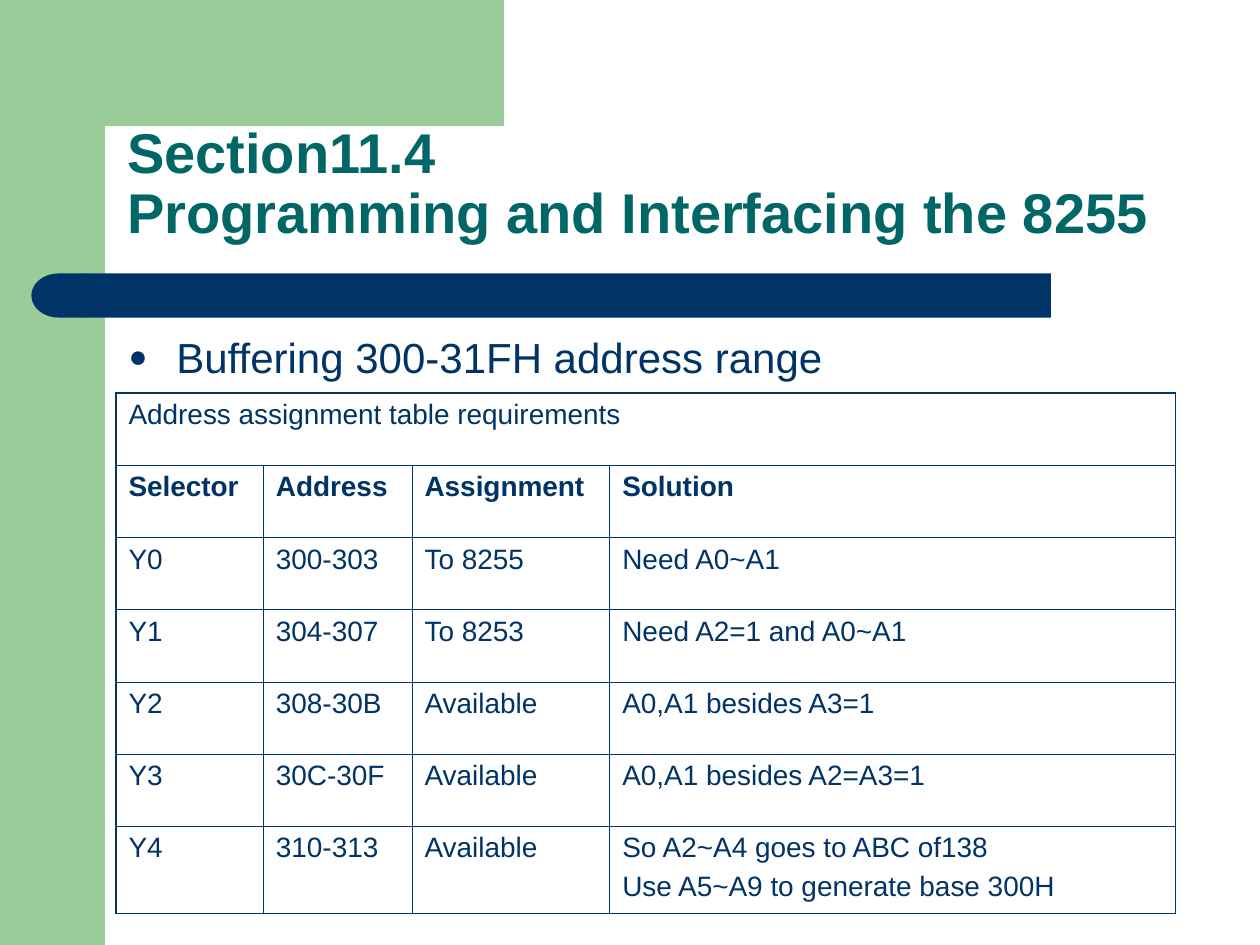
import math
from lxml import etree
from pptx import Presentation
from pptx.dml.color import RGBColor
from pptx.enum.shapes import MSO_SHAPE
from pptx.enum.text import MSO_ANCHOR, MSO_AUTO_SIZE, PP_ALIGN
from pptx.oxml.ns import nsdecls, qn
from pptx.util import Inches, Pt

RECT, ROUND, DELAY = MSO_SHAPE.RECTANGLE, MSO_SHAPE.ROUNDED_RECTANGLE, MSO_SHAPE.FLOWCHART_DELAY
LEFT, TOP, BOTTOM = PP_ALIGN.LEFT, MSO_ANCHOR.TOP, MSO_ANCHOR.BOTTOM
GREEN = RGBColor(0x99, 0xCC, 0x99)
NAVY = RGBColor(0x00, 0x33, 0x66)
TEAL = RGBColor(0x00, 0x66, 0x66)
WHITE = RGBColor(0xFF, 0xFF, 0xFF)

prs = Presentation()
prs.slide_width, prs.slide_height = Inches(10), Inches(7.5)
W, H = 10, 7.5
s = prs.slides.add_slide(prs.slide_layouts[1])
s.background.fill.solid()
s.background.fill.fore_color.rgb = WHITE


def paint(sp, color):
    sp.fill.solid()
    sp.fill.fore_color.rgb = color
    sp.line.fill.background()
    sp.shadow.inherit = False


def style(p, size, color, bold=False):
    for r in p.runs:
        for name, value in {"name": "Arial", "size": Pt(size), "bold": bold}.items():
            setattr(r.font, name, value)
        r.font.color.rgb = color


# Green side band, and top block with a rounded inner corner
band = W / 12
paint(s.shapes.add_shape(RECT, 0, 0, Inches(band), prs.slide_height), GREEN)
radius = 0.33
center = band + radius
arc = [(center - radius * math.sin(a), center - radius * math.cos(a))
       for a in (math.radians(d) for d in range(0, 91, 6))]
outline = [(3.5, 0), (3.5, band), *arc, (band, 1.28), (0.5, 1.28), (0.5, 0)]
fb = s.shapes.build_freeform(*outline[0], scale=Inches(1))
fb.add_line_segments(outline[1:], close=True)
paint(fb.convert_to_shape(), GREEN)

# Navy rule with a rounded left end
bar = s.shapes.add_shape(ROUND, Inches(0.67), Inches(2.17), Inches(7.67), Inches(0.35))
bar.adjustments[0] = 0
cap = s.shapes.add_shape(DELAY, Inches(0.25), Inches(2.17), Inches(0.43), Inches(0.35))
cap.element.spPr.find(qn("a:xfrm")).set("flipH", "1")
for sp in (bar, cap):
    paint(sp, NAVY)

# Title and bullet
title, body = s.shapes.title, s.placeholders[1]
for sp, box, text, anchor in (
    (title, (0.91, 0.91, 8.51, 1.09), "Section11.4 \vProgramming and Interfacing the 8255", BOTTOM),
    (body, (0.92, 2.58, 8.41, 0.61), "Buffering 300-31FH address range", TOP),
):
    sp.left, sp.top, sp.width, sp.height = map(Inches, box)
    sp.element.getparent().append(sp.element)
    tf = sp.text_frame
    tf.text = text
    tf.word_wrap, tf.auto_size, tf.vertical_anchor = True, MSO_AUTO_SIZE.NONE, anchor
    tf.paragraphs[0].alignment = LEFT

p = title.text_frame.paragraphs[0]
p.line_spacing = 0.9
style(p, 32, TEAL, True)

p = body.text_frame.paragraphs[0]
p.space_before = Pt(6)
style(p, 24, NAVY)
pPr = p._p.get_or_add_pPr()
pPr.set("marL", str(Inches(0.38)))
pPr.set("indent", str(-Inches(0.38)))
for xml in (f'<a:buClr {nsdecls("a")}><a:srgbClr val="{NAVY}"/></a:buClr>',
            f'<a:buSzPct {nsdecls("a")} val="75000"/>',
            f'<a:buFont {nsdecls("a")} typeface="Arial"/>',
            f'<a:buChar {nsdecls("a")} char="●"/>'):
    pPr.append(etree.fromstring(xml))

# Address table
rows = [
    ["Address assignment table requirements", "", "", ""],
    ["Selector", "Address", "Assignment", "Solution"],
    ["Y0", "300-303", "To 8255", "Need A0~A1"],
    ["Y1", "304-307", "To 8253", "Need A2=1 and A0~A1"],
    ["Y2", "308-30B", "Available", "A0,A1 besides A3=1"],
    ["Y3", "30C-30F", "Available", "A0,A1 besides A2=A3=1"],
    ["Y4", "310-313", "Available", "So A2~A4 goes to ABC of138\nUse A5~A9 to generate base 300H"],
]
widths = [1.17, 1.18, 1.57, 4.49]
height, last_height = 4.13, 0.69
last_row, last_col = len(rows) - 1, len(widths) - 1
tbl = s.shapes.add_table(len(rows), len(widths), Inches(0.92), Inches(3.12),
                         Inches(sum(widths)), Inches(height)).table
tbl.first_row = tbl.horz_banding = False
for col, width in zip(tbl.columns, widths):
    col.width = Inches(width)
for i, row in enumerate(tbl.rows):
    row.height = Inches(last_height if i == last_row else (height - last_height) / last_row)
tbl.cell(0, 0).merge(tbl.cell(0, last_col))

for i, texts in enumerate(rows):
    for j, text in enumerate(texts):
        cell = tbl.cell(i, j)
        if text:
            cell.text = text
        for p in cell.text_frame.paragraphs:
            p.space_before = Pt(4)
            style(p, 16, NAVY, i == 1)
        tcPr = cell._tc.get_or_add_tcPr()
        edges = {"lnL": j == 0, "lnR": j == last_col or i == 0, "lnT": i == 0, "lnB": i == last_row}
        for tag, outer in edges.items():
            tcPr.append(etree.fromstring(
                f'<a:{tag} {nsdecls("a")} w="{Pt(1.08 if outer else 0.45)}">'
                f'<a:solidFill><a:srgbClr val="{NAVY}"/></a:solidFill></a:{tag}>'))
        cell.fill.background()

prs.save("out.pptx")
